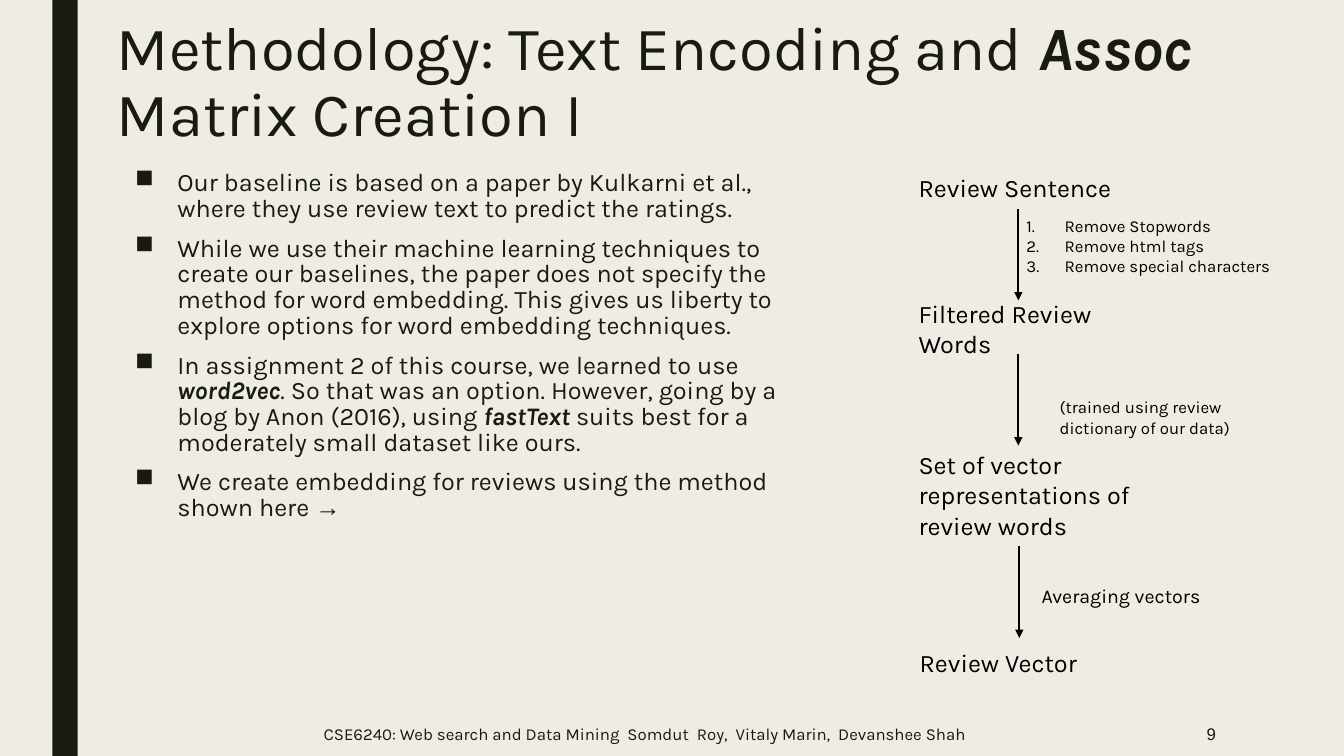
from lxml import etree
from pptx import Presentation
from pptx.dml.color import RGBColor
from pptx.enum.shapes import MSO_CONNECTOR, MSO_SHAPE
from pptx.enum.text import MSO_ANCHOR, PP_ALIGN
from pptx.oxml.ns import qn
from pptx.util import Inches, Pt

LEFT, RIGHT = PP_ALIGN.LEFT, PP_ALIGN.RIGHT
TOP, MIDDLE = MSO_ANCHOR.TOP, MSO_ANCHOR.MIDDLE
STRAIGHT, RECTANGLE = MSO_CONNECTOR.STRAIGHT, MSO_SHAPE.RECTANGLE
COLORS = {"paper": "EFEDE3", "ink": "191B0E", "flow": "000000"}
FONT, SYMBOL_FONT = "Karla", "Arial"
EMPHASIS = "emphasis"
SYMBOL = "symbol"

TITLE = [("Methodology: Text Encoding and ",), ("Assoc", EMPHASIS), (" Matrix Creation I",)]
POINTS = [
    [("Our baseline is based on a paper by Kulkarni et al., where they use review text "
      "to predict the ratings.",)],
    [("While we use their machine learning techniques to create our baselines, the paper "
      "does not specify the method for word embedding. This gives us liberty to explore "
      "options for word embedding techniques.",)],
    [("In assignment 2 of this course, we learned to use ",), ("word2vec", EMPHASIS),
     (". So that was an option. However, going by a blog by Anon (2016), using ",),
     ("fastText", EMPHASIS), (" suits best for a moderately small dataset like ours.",)],
    [("We create embedding for reviews using the method shown here ",), ("→", SYMBOL)],
]
FILTERS = ["Remove Stopwords", "Remove html tags", "Remove special characters"]
STAGES = [
    ("Review Sentence", 0, 0, 2.08, 0.4),
    ("Filtered Review Words", 0, 1.25, 2.45, 0.7),
    ("Set of vector representations of review words", 0, 2.75, 2.78, 1.01),
    ("Review Vector", 0.01, 4.71, 2.08, 0.4),
]
ARROWS = [(1.04, 0.41), (1.04, 1.85), (1.05, 3.76)]
ARROW_LENGTH = 0.91


def rgb(name):
    """Return the named palette colour."""
    return RGBColor.from_string(COLORS[name])


def prepare_frame(frame, anchor=TOP, wrap=True):
    """Give a text frame the slide's common insets."""
    frame.word_wrap = wrap
    frame.vertical_anchor = anchor
    frame.margin_left = frame.margin_right = Inches(0.05)
    frame.margin_top = frame.margin_bottom = Inches(0.05)


def add_bullet(paragraph, indent, tag, **attributes):
    """Hang a paragraph behind a bullet or a number."""
    properties = paragraph._p.get_or_add_pPr()
    properties.set("marL", str(Inches(indent)))
    properties.set("indent", str(-Inches(indent)))
    etree.SubElement(properties, qn(tag), attributes)


def write_runs(paragraph, pieces, size, color="ink"):
    """Fill a paragraph with plain, emphasised and symbol runs."""
    for wording, *style in pieces:
        run = paragraph.add_run()
        run.text = wording
        run.font.size = Pt(size)
        run.font.name = SYMBOL_FONT if SYMBOL in style else FONT
        run.font.bold = run.font.italic = EMPHASIS in style
        run.font.color.rgb = rgb(color)


def add_frame(slide, left, top, width, height, anchor=TOP, wrap=True):
    """Add a text box and return its prepared frame."""
    box = slide.shapes.add_textbox(Inches(left), Inches(top), Inches(width), Inches(height))
    prepare_frame(box.text_frame, anchor, wrap)
    return box.text_frame


def add_label(slide, wording, left, top, width, height, size):
    """Add a one-paragraph label of the flow."""
    frame = add_frame(slide, left, top, width, height)
    write_runs(frame.paragraphs[0], [(wording,)], size, "flow")


def add_arrow(slide, left, top, length):
    """Add a downward arrow."""
    arrow = slide.shapes.add_connector(
        STRAIGHT, Inches(left), Inches(top), Inches(left), Inches(top + length))
    arrow.line.color.rgb = rgb("flow")
    arrow.line.width = Pt(1.5)
    etree.SubElement(arrow.line._get_or_add_ln(), qn("a:tailEnd"), type="triangle")
    etree.SubElement(arrow._element.spPr, qn("a:effectLst"))


def add_background(slide, height):
    """Colour the slide and draw its side band."""
    slide.background.fill.solid()
    slide.background.fill.fore_color.rgb = rgb("paper")
    band = slide.shapes.add_shape(RECTANGLE, Inches(0.52), 0, Inches(0.25), height)
    band.shadow.inherit = False
    band.fill.solid()
    band.fill.fore_color.rgb = rgb("ink")
    band.line.fill.background()


def add_title(slide, left, top, width, height):
    """Place and fill the title placeholder."""
    title = slide.shapes.title
    title.left, title.top = Inches(left), Inches(top)
    title.width, title.height = Inches(width), Inches(height)
    prepare_frame(title.text_frame)
    heading = title.text_frame.paragraphs[0]
    heading.alignment = LEFT
    heading.line_spacing = 0.89
    write_runs(heading, TITLE, 44)


def add_points(slide, left, top, width, height):
    """Add the bulleted account of the method."""
    frame = add_frame(slide, left, top, width, height)
    for index, pieces in enumerate(POINTS):
        point = frame.add_paragraph() if index else frame.paragraphs[0]
        point.line_spacing = 0.85
        point.space_before = Pt(10 if index else 0)
        add_bullet(point, 0.42, "a:buChar", char="■")
        write_runs(point, pieces, 18)


def add_flow(slide, left, top):
    """Draw the flow from review sentence to review vector."""
    for wording, x, y, width, height in STAGES:
        add_label(slide, wording, left + x, top + y, width, height, 18)
    for x, y in ARROWS:
        add_arrow(slide, left + x, top + y, ARROW_LENGTH)
    filters = add_frame(slide, left + 1.07, top + 0.43, 2.56, 0.68)
    for index, wording in enumerate(FILTERS):
        step = filters.add_paragraph() if index else filters.paragraphs[0]
        add_bullet(step, 0.38, "a:buAutoNum", type="arabicPeriod")
        write_runs(step, [(wording,)], 12, "flow")
    add_label(slide, "(trained using review dictionary of our data)",
              left + 1.4, top + 2.23, 1.9, 0.48, 12)
    add_label(slide, "Averaging vectors", left + 1.22, top + 4.08, 2.45, 0.32, 14)


def add_footer(slide, top, height):
    """Add the course line and the page number."""
    course = add_frame(slide, 3.16, top, 6.87, height, MIDDLE)
    write_runs(course.paragraphs[0], [(
        "CSE6240: Web search and Data Mining  Somdut  Roy,  Vitaly Marin,  Devanshee Shah",)], 12)
    page = add_frame(slide, 11.9, top, 0.21, height, MIDDLE, False)
    page.paragraphs[0].alignment = RIGHT
    write_runs(page.paragraphs[0], [("9", SYMBOL)], 12)


def main():
    """Build and save the slide."""
    deck = Presentation()
    deck.slide_width, deck.slide_height = Inches(13.33), Inches(7.5)
    slide = deck.slides.add_slide(deck.slide_layouts[5])
    add_background(slide, deck.slide_height)
    add_title(slide, 1.11, 0.13, 11.88, 1.6)
    add_points(slide, 1.29, 1.65, 6.87, 4.63)
    add_flow(slide, 9.06, 1.66)
    add_footer(slide, 7.13, 0.29)
    deck.save("out.pptx")


if __name__ == "__main__":
    main()
